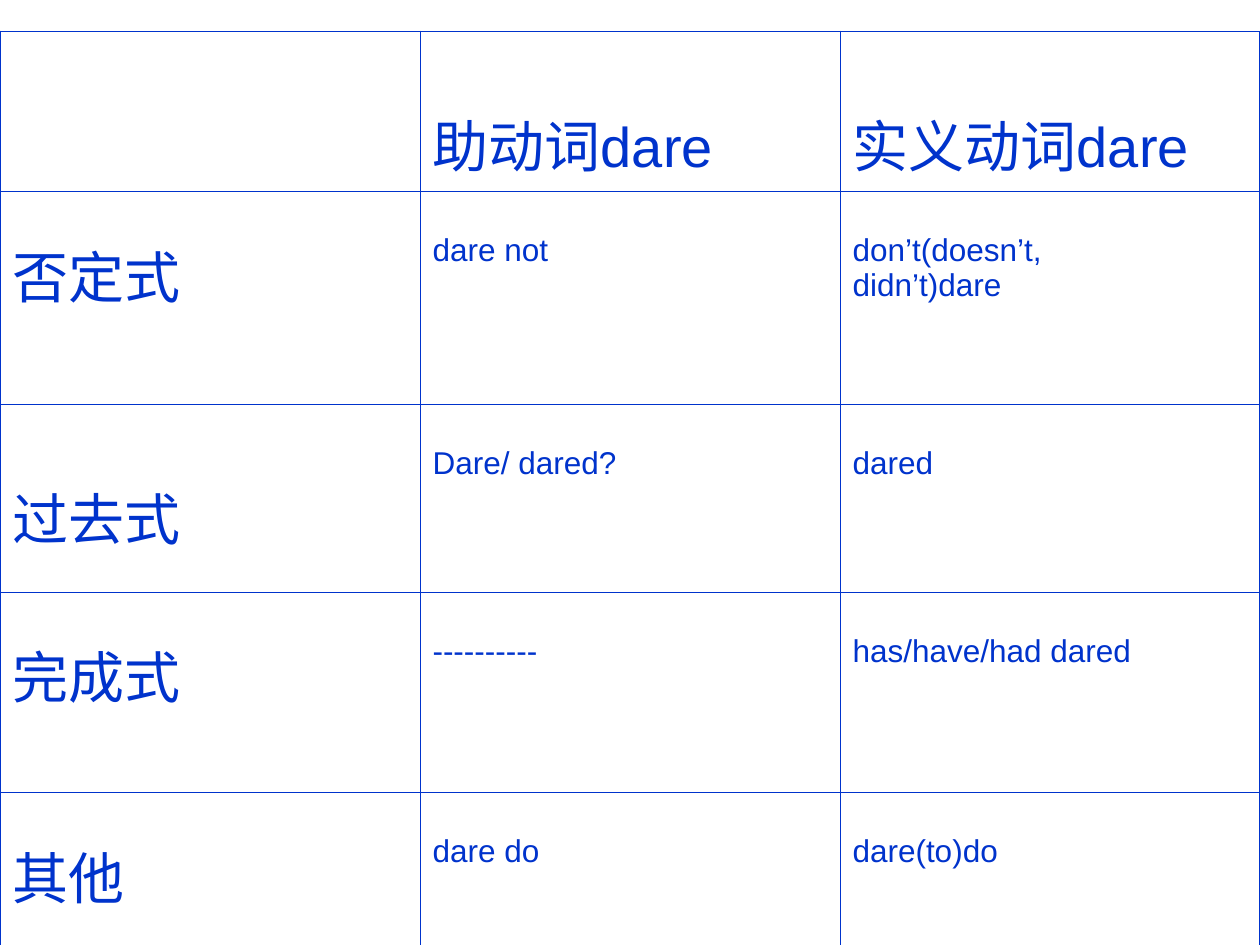
from lxml import etree
from pptx import Presentation
from pptx.dml.color import RGBColor
from pptx.oxml.ns import qn
from pptx.util import Inches, Pt

BLUE = "0033CC"
INNER_LINE, OUTER_LINE = 0.45, 1.08
LARGE, SMALL = 32, 18
# Distance from the cell's top edge to its text: one line of each size
TOP_GAPS = {LARGE: 0.56, SMALL: 0.33}

ROW_HEIGHTS = [1.27, 1.69, 1.49, 1.59, 1.24]
VERB_FORMS = [
    ["", "助动词dare", "实义动词dare"],
    ["否定式", "dare not", "don’t(doesn’t,\ndidn’t)dare"],
    ["过去式", "Dare/ dared?", "dared"],
    ["完成式", "----------", "has/have/had dared"],
    ["其他", "dare do", "dare(to)do"],
]


def write_cell(cell, text, size, gap, color=BLUE, font="Arial"):
    cell.margin_top = Inches(gap)
    cell.text_frame.text = text
    for paragraph in cell.text_frame.paragraphs:
        paragraph.font.size = Pt(size)
        for run in paragraph.runs:
            run.font.name = font
            run.font.size = Pt(size)
            run.font.color.rgb = RGBColor.from_string(color)


def draw_borders(cell, widths, color=BLUE):
    """Draw the cell's edges; widths are points for left, right, top, bottom."""
    properties = cell._tc.get_or_add_tcPr()
    for side, width in zip("LRTB", widths):
        line = etree.SubElement(properties, qn(f"a:ln{side}"), w=str(Pt(width)))
        fill = etree.SubElement(line, qn("a:solidFill"))
        etree.SubElement(fill, qn("a:srgbClr"), val=color)


presentation = Presentation()
presentation.slide_width = Inches(10)
presentation.slide_height = Inches(7.5)
slide = presentation.slides.add_slide(presentation.slide_layouts[6])

row_count, column_count = len(VERB_FORMS), len(VERB_FORMS[0])
verb_table = slide.shapes.add_table(
    row_count, column_count, Inches(0), Inches(0.25),
    Inches(10), Inches(sum(ROW_HEIGHTS))).table
verb_table.first_row = False
verb_table.horz_banding = False

for row, height in zip(verb_table.rows, ROW_HEIGHTS):
    row.height = Inches(height)

for r, forms in enumerate(VERB_FORMS):
    for c, text in enumerate(forms):
        cell = verb_table.cell(r, c)
        is_heading = r == 0 or c == 0
        has_large_gap = r == 0 or (r == 2 and c == 0)
        write_cell(cell, text, size=LARGE if is_heading else SMALL,
                   gap=TOP_GAPS[LARGE if has_large_gap else SMALL])
        at_edge = [c == 0, c == column_count - 1, r == 0, r == row_count - 1]
        draw_borders(cell, [OUTER_LINE if edge else INNER_LINE for edge in at_edge])
        cell.fill.background()

presentation.save("out.pptx")
